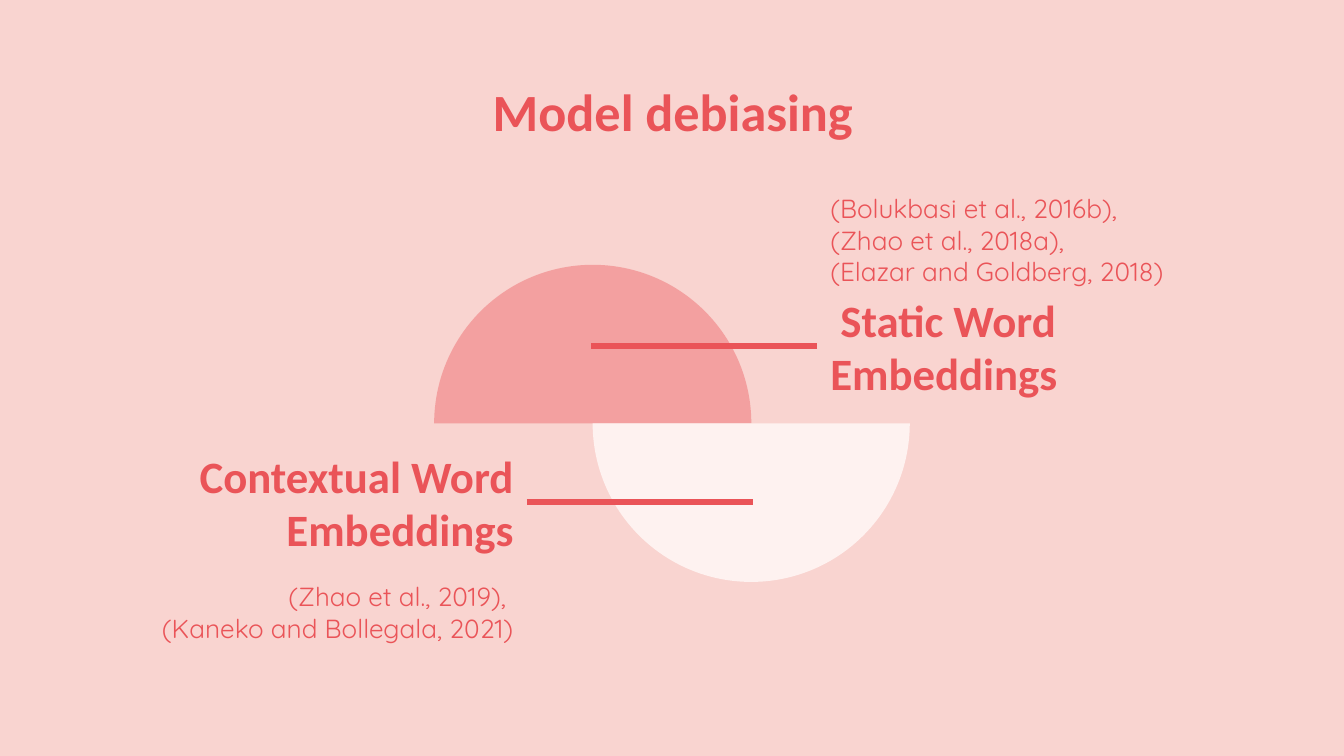
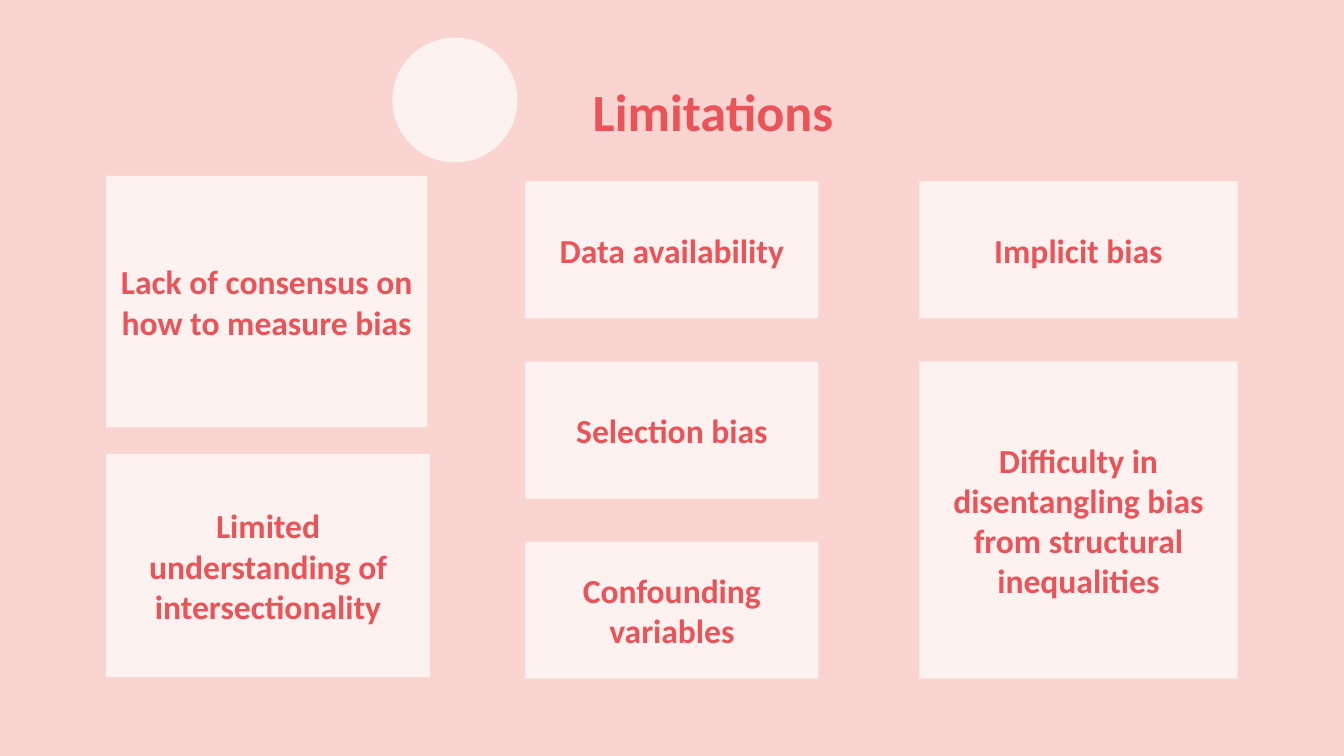
"""Builds two slides on model debiasing and its limitations."""
from dataclasses import dataclass

import lxml.etree
import pptx
import pptx.dml.color
import pptx.enum.shapes
import pptx.enum.text
import pptx.oxml.ns
import pptx.util

Inches = pptx.util.Inches
Align = pptx.enum.text.PP_ALIGN
Anchor = pptx.enum.text.MSO_ANCHOR
Shape = pptx.enum.shapes.MSO_SHAPE

PINK, CORAL, CREAM = "F9D4D0", "EA5458", "FEF2F0"
HEADING, BODY = "Calibri", "Quicksand"
ROW_TOP, ROW_HEIGHT, ROW_PITCH = 1.35, 1.02, 1.34


@dataclass
class Box:
    left: float
    top: float
    width: float
    height: float

    @property
    def middle(self) -> float:
        return self.top + self.height / 2

    def lengths(self) -> tuple:
        return tuple(Inches(v) for v in (self.left, self.top, self.width, self.height))


@dataclass
class Style:
    size: int
    font: str = HEADING
    bold: bool = True
    align: Align = Align.CENTER
    anchor: Anchor = Anchor.MIDDLE


@dataclass
class Approach:
    name: str
    name_box: Box
    papers: list
    papers_box: Box
    align: Align
    side: int
    line_end: float


@dataclass
class Card:
    text: str
    box: Box


def row_box(left: float, width: float, row: int, span: int = 1) -> Box:
    height = ROW_HEIGHT + (span - 1) * ROW_PITCH
    return Box(left, ROW_TOP + row * ROW_PITCH, width, height)


APPROACHES = [
    Approach("Contextual Word Embeddings", Box(0.79, 3.54, 3.13, 0.39),
             ["(Zhao et al., 2019), ", "(Kaneko and Bollegala, 2021)"],
             Box(0.79, 4.11, 3.13, 0.89), Align.RIGHT, 3, 5.6),
    Approach(" Static Word Embeddings", Box(6.08, 2.38, 3.34, 0.39),
             ["(Bolukbasi et al., 2016b),", "(Zhao et al., 2018a),",
              "(Elazar and Goldberg, 2018)"],
             Box(6.08, 1.33, 3.34, 0.91), Align.LEFT, 1, 4.4),
]

CARDS = [
    Card("Lack of consensus on how to measure bias", Box(0.79, 1.31, 2.39, 1.87)),
    Card("Confounding variables", row_box(3.91, 2.18, 2)),
    Card("Data availability", row_box(3.91, 2.18, 0)),
    Card("Selection bias", row_box(3.91, 2.18, 1)),
    Card("Limited understanding of intersectionality", Box(0.79, 3.38, 2.41, 1.66)),
    Card("Implicit bias", row_box(6.84, 2.37, 0)),
    Card("Difficulty in disentangling bias from structural inequalities",
         row_box(6.84, 2.37, 1, span=2)),
]


def set_color(fill, color: str) -> None:
    fill.solid()
    fill.fore_color.rgb = pptx.dml.color.RGBColor.from_string(color)


def write(sp, lines: list, style: Style) -> None:
    tf = sp.text_frame
    tf.word_wrap = True
    tf.auto_size = pptx.enum.text.MSO_AUTO_SIZE.NONE
    tf.vertical_anchor = style.anchor
    tf.margin_left = tf.margin_right = tf.margin_top = tf.margin_bottom = Inches(0.1)
    tf.text = "\n".join(lines)
    for p in tf.paragraphs:
        p.alignment = style.align
        p.font.size = pptx.util.Pt(style.size)
        p.font.name = style.font
        p.font.bold = style.bold
        set_color(p.font.fill, CORAL)


def add_slide(prs, title: str, left: float):
    s = prs.slides.add_slide(prs.slide_layouts[5])
    sp = s.shapes.title
    sp.left, sp.top, sp.width, sp.height = Box(left, 0.49, 8.43, 0.63).lengths()
    write(sp, [title], Style(28, anchor=Anchor.TOP))
    return s


def add_shape(s, kind: Shape, box: Box, color: str):
    sp = s.shapes.add_shape(kind, *box.lengths())
    sp.shadow.inherit = False
    set_color(sp.fill, color)
    sp.line.fill.background()
    return sp


def add_text(s, box: Box, lines: list, style: Style):
    sp = s.shapes.add_textbox(*box.lengths())
    write(sp, lines, style)
    return sp


def add_half_disc(s, left: float, color: str, rotation: int):
    sp = add_shape(s, Shape.CHORD, Box(left, 1.97, 2.36, 2.36), color)
    sp.adjustments[0], sp.adjustments[1] = 27, 135
    sp.rotation = rotation
    return sp


def set_alpha(sp, percent: int) -> None:
    qn = pptx.oxml.ns.qn
    color = sp.fill._xPr.find(qn("a:solidFill")).find(qn("a:srgbClr"))
    lxml.etree.SubElement(color, qn("a:alpha"), val=str(percent * 1000))


def add_approach(s, approach: Approach):
    add_text(s, approach.papers_box, approach.papers,
             Style(14, BODY, False, approach.align))
    return add_text(s, approach.name_box, [approach.name],
                    Style(24, align=approach.align))


def add_pointer(s, approach: Approach, name) -> None:
    y = Inches(approach.name_box.middle)
    line = s.shapes.add_connector(pptx.enum.shapes.MSO_CONNECTOR.STRAIGHT,
                                  name.left, y, Inches(approach.line_end), y)
    line.begin_connect(name, approach.side)
    set_color(line.line.fill, CORAL)
    line.line.width = pptx.util.Pt(3)
    lxml.etree.SubElement(line._element.spPr, pptx.oxml.ns.qn("a:effectLst"))


def build_debiasing(prs) -> None:
    s = add_slide(prs, "Model debiasing", 0.79)
    set_alpha(add_half_disc(s, 3.23, CORAL, 135), 40)
    add_half_disc(s, 4.41, CREAM, 315)
    names = [add_approach(s, approach) for approach in APPROACHES]
    for approach, name in zip(APPROACHES, names):
        add_pointer(s, approach, name)


def build_limitations(prs) -> None:
    s = add_slide(prs, "Limitations", 1.09)
    for card in CARDS:
        write(add_shape(s, Shape.RECTANGLE, card.box, CREAM), [card.text], Style(18))
    add_shape(s, Shape.OVAL, Box(2.92, 0.28, 0.93, 0.93), CREAM)


def main() -> None:
    prs = pptx.Presentation()
    prs.slide_width = Inches(10)
    prs.slide_height = prs.slide_width * 9 // 16
    set_color(prs.slide_master.background.fill, PINK)
    build_debiasing(prs)
    build_limitations(prs)
    prs.save("out.pptx")


if __name__ == "__main__":
    main()
